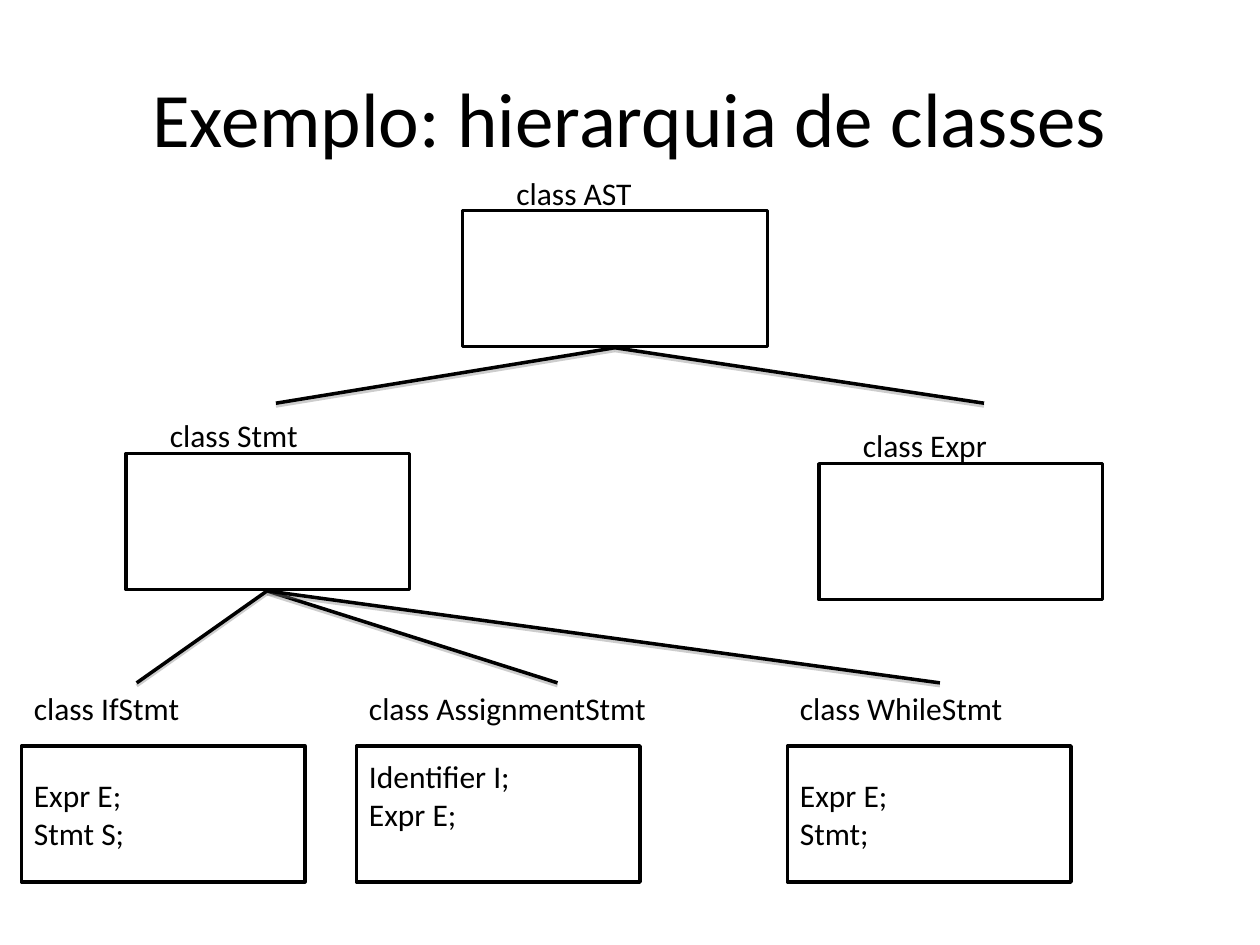
from lxml import etree
from pptx import Presentation
from pptx.dml.color import RGBColor
from pptx.enum.shapes import MSO_CONNECTOR as Connector, MSO_SHAPE as Preset
from pptx.enum.text import MSO_ANCHOR as Anchor, PP_ALIGN as Align
from pptx.oxml.ns import qn
from pptx.util import Inches, Pt


def rgb(code):
    """Turn a hex string into a colour."""
    return RGBColor.from_string(code)


def write(frame, text, size=18, color="000000", font="Calibri",
          align=Align.LEFT, anchor=Anchor.TOP, bottom=0.05):
    """Fill a text frame with formatted text."""
    frame.word_wrap = True
    frame.vertical_anchor = anchor
    frame.margin_bottom = Inches(bottom)
    frame.text = text
    for paragraph in frame.paragraphs:
        paragraph.alignment = align
        for run in paragraph.runs:
            run.font.size = Pt(size)
            run.font.name = font
            run.font.color.rgb = rgb(color)


class ClassDiagram:
    """Hold the style and the slide of a class tree."""

    ink, paper, shade = "000000", "FFFFFF", "808080"
    stroke, box_height = 2, 1.08

    def __init__(self, slide):
        """Keep the slide to draw on."""
        self.shapes = slide.shapes

    def label(self, text, left, top, width, height, **style):
        """Add a text box."""
        box = self.shapes.add_textbox(*map(Inches, (left, top, width, height)))
        write(box.text_frame, text, **style)

    def node(self, left, top, width, fields="", bottom=0.05):
        """Add a class box with its fields."""
        box = self.shapes.add_shape(
            Preset.RECTANGLE, *map(Inches, (left, top, width, self.box_height)))
        box.shadow.inherit = False
        box.fill.solid()
        box.fill.fore_color.rgb = rgb(self.paper)
        self.outline(box.line)
        if fields:
            write(box.text_frame, fields, anchor=Anchor.MIDDLE, bottom=bottom)

    def branch(self, child, parent):
        """Join a child to its parent with a softly shaded line."""
        edge = self.shapes.add_connector(
            Connector.STRAIGHT, *map(Inches, (*child, *parent)))
        self.outline(edge.line)
        effects = etree.SubElement(edge._element.spPr, qn("a:effectLst"))
        shadow = etree.SubElement(effects, qn("a:outerShdw"), blurRad="0",
                                  dist=str(Pt(1.6)), dir="5400000", rotWithShape="0")
        tone = etree.SubElement(shadow, qn("a:srgbClr"), val=self.shade)
        etree.SubElement(tone, qn("a:alpha"), val="38000")

    def outline(self, line):
        """Apply the common stroke."""
        line.color.rgb = rgb(self.ink)
        line.width = Pt(self.stroke)


deck = Presentation()
deck.slide_width, deck.slide_height = Inches(10), Inches(7.5)
diagram = ClassDiagram(deck.slides.add_slide(deck.slide_layouts[6]))

diagram.label("Exemplo: hierarquia de classes", 0.5, 0.3, 9, 1.25,
              size=44, align=Align.CENTER, anchor=Anchor.MIDDLE)

ast_base, stmt_base = (4.88, 2.76), (2.12, 4.69)
leaf_width, leaf_top, leaf_label_top = 2.25, 5.92, 5.42

diagram.node(3.67, 1.67, 2.42)
diagram.label("class AST", 4, 1.33, 1.57, 0.5)

for name, left, top in (("Stmt", 1, 3.6), ("Expr", 6.5, 3.68)):
    diagram.node(left, top, leaf_width)
    diagram.label(f"class {name}", left + 0.25, top - 0.35, 1.25, 0.4)

for x in (2.19, 7.81):
    diagram.branch((x, 3.2), ast_base)

leaves = (
    ("IfStmt", 0.17, 1.83, "Expr E;\vStmt S;", 0.05),
    ("AssignmentStmt", 2.83, 3.19, "Identifier I;\vExpr E;", 0.35),
    ("WhileStmt", 6.25, 2.42, "Expr E;\vStmt;", 0.05),
)
for name, left, label_width, fields, bottom in leaves:
    diagram.node(left, leaf_top, leaf_width, fields, bottom)
    diagram.label(f"class {name}", left, leaf_label_top, label_width, 0.5)
    diagram.branch((left + label_width / 2, leaf_label_top), stmt_base)

deck.save("out.pptx")
